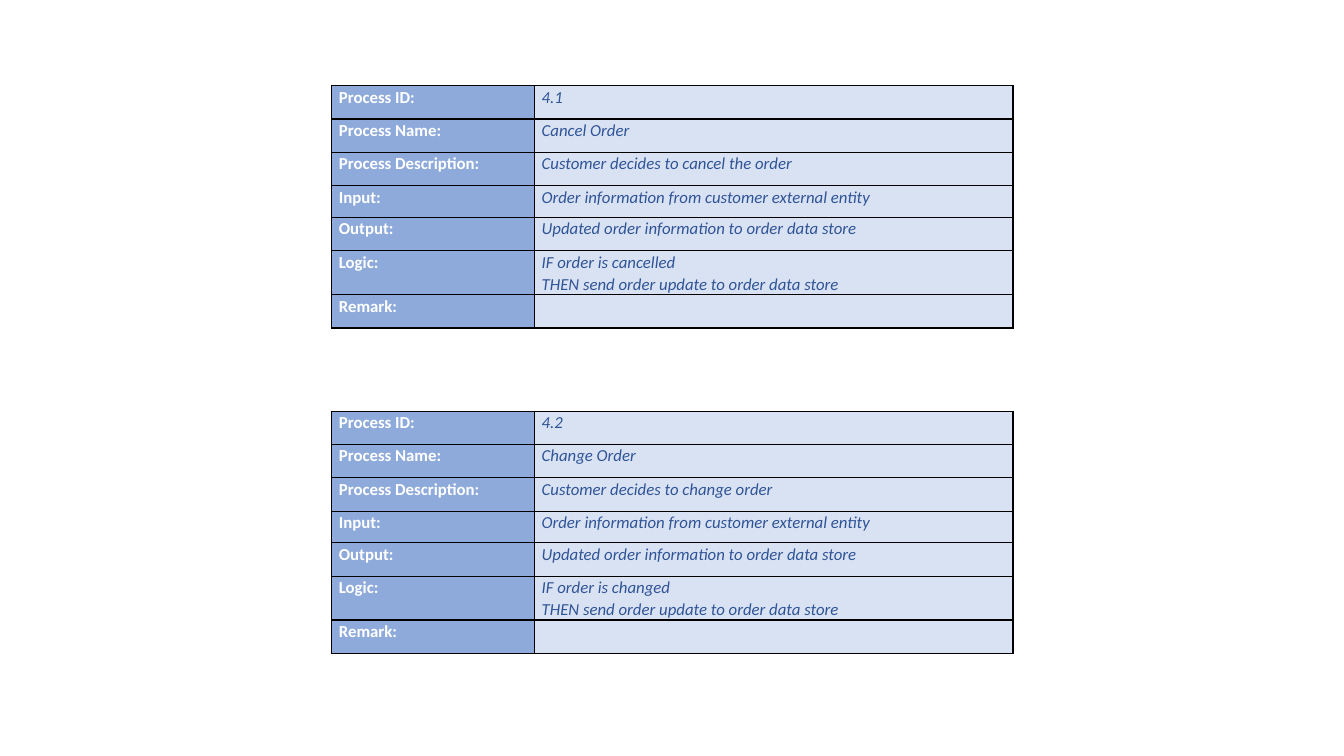
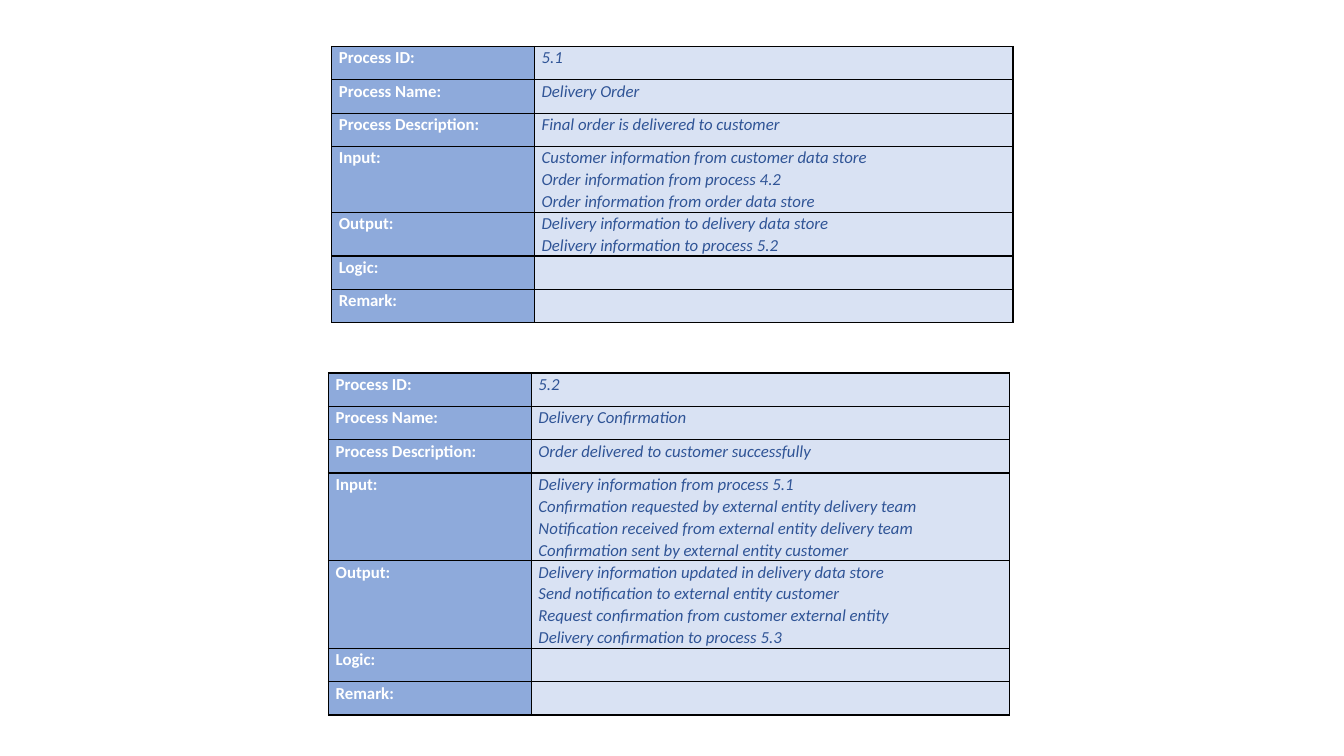
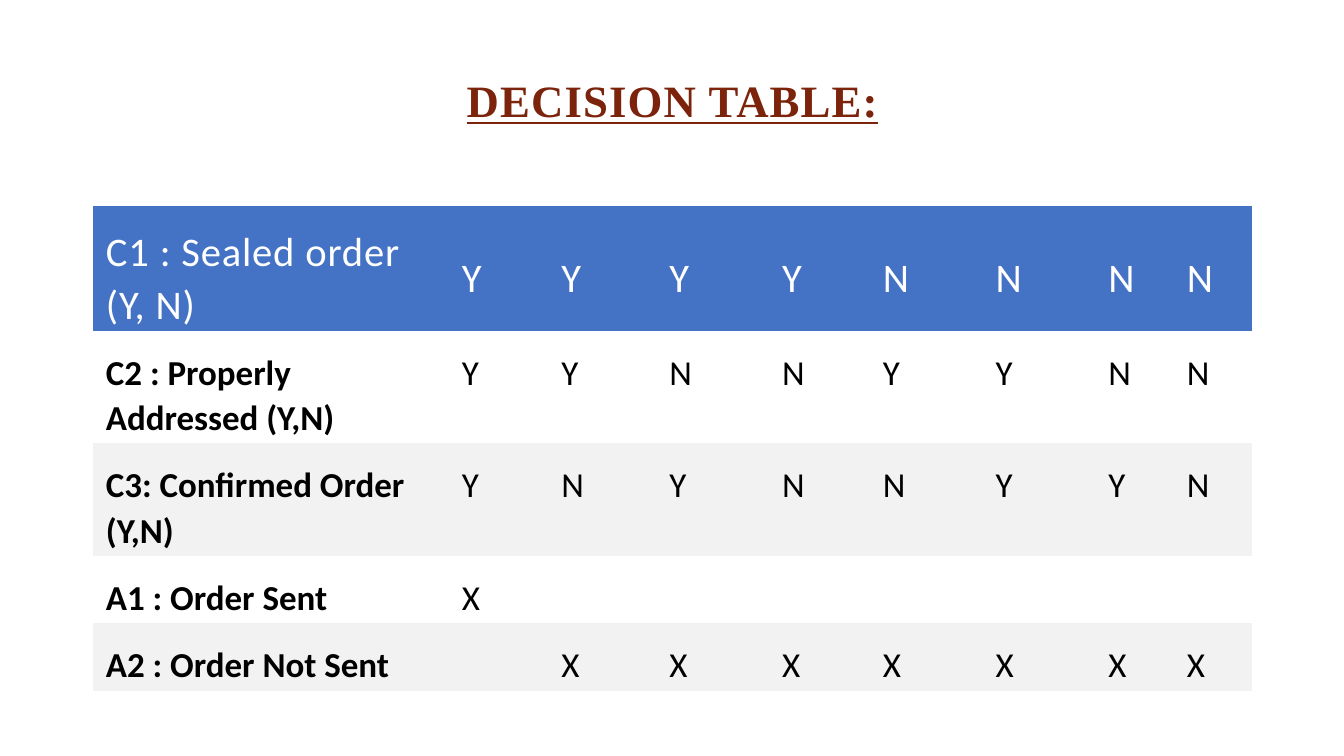
from dataclasses import dataclass
from typing import Optional

from lxml.etree import SubElement
from pptx import Presentation
from pptx.dml.color import RGBColor
from pptx.enum.text import MSO_ANCHOR, MSO_AUTO_SIZE, PP_ALIGN
from pptx.oxml.ns import qn
from pptx.util import Cm, Pt

BODY_FONT, TITLE_FONT = "Calibri", "Times New Roman"
WHITE, BLACK = "FFFFFF", "000000"
LABEL_FILL, VALUE_FILL, VALUE_TEXT = "8EAADB", "D9E2F3", "2F5496"
HEADER_FILL, BAND_FILL, TITLE_COLOR = "4472C4", "F2F2F2", "7B230B"
PLAIN_TABLE_STYLE = "{2D5ABB26-0587-4C30-8999-92F81FD0307C}"

LABELS = ("Process ID:", "Process Name:", "Process Description:", "Input:",
          "Output:", "Logic:", "Remark:")
PROCESS_COLS = (5.11, 12.06)
ROW_HEIGHT, LINE_HEIGHT = 0.84, 0.55
DECISION_COLS = (8.97, 2.51, 2.72, 2.84, 2.54, 2.84, 2.84, 1.98, 1.98)


@dataclass
class Process:
    left: float
    top: float
    values: tuple[str, ...]


@dataclass
class Rule:
    label: str
    marks: str
    height: float
    fill: Optional[str] = None


ORDER_INPUT = "Order information from customer external entity"
ORDER_OUTPUT = "Updated order information to order data store"
ORDER_UPDATE = "THEN send order update to order data store"

PROCESS_SLIDES = (
    (
        Process(8.36, 2.16, (
            "4.1", "Cancel Order", "Customer decides to cancel the order",
            ORDER_INPUT, ORDER_OUTPUT,
            f"IF order is cancelled\n{ORDER_UPDATE}", "")),
        Process(8.36, 10.36, (
            "4.2", "Change Order", "Customer decides to change order",
            ORDER_INPUT, ORDER_OUTPUT,
            f"IF order is changed\n{ORDER_UPDATE}", "")),
    ),
    (
        Process(8.36, 1.17, (
            "5.1", "Delivery Order", "Final order is delivered to customer",
            "Customer information from customer data store\n"
            "Order information from process 4.2\n"
            "Order information from order data store",
            "Delivery information to delivery data store\n"
            "Delivery information to process 5.2", "", "")),
        Process(8.28, 9.4, (
            "5.2", "Delivery Confirmation",
            "Order delivered to customer successfully",
            "Delivery information from process 5.1\n"
            "Confirmation requested by external entity delivery team\n"
            "Notification received from external entity delivery team\n"
            "Confirmation sent by external entity customer",
            "Delivery information updated in delivery data store\n"
            "Send notification to external entity customer\n"
            "Request confirmation from customer external entity\n"
            "Delivery confirmation to process 5.3", "", "")),
    ),
)

RULES = (
    Rule("C1 : Sealed order (Y, N)", "YYYYNNNN", 3.15, HEADER_FILL),
    Rule("C2 : Properly Addressed (Y,N)", "YYNNYYNN", 2.84),
    Rule("C3: Confirmed Order (Y,N)", "YNYNNYYN", 2.84, BAND_FILL),
    Rule("A1 : Order Sent", "X", 1.7),
    Rule("A2 : Order Not Sent", " XXXXXXX", 1.7, BAND_FILL),
)


def rgb(color: str) -> RGBColor:
    return RGBColor.from_string(color)


def write(tf, text: str, *, size: float, color: str, font: str = BODY_FONT,
          bold: bool = False, italic: bool = False, underline: bool = False,
          spacing: float = 0, line: float = 1.07, after: float = 0,
          align: PP_ALIGN = PP_ALIGN.LEFT) -> None:
    """Fill a text frame, one paragraph per line of text; spacing is in points."""
    for i, content in enumerate(text.split("\n")):
        p = tf.paragraphs[0] if i == 0 else tf.add_paragraph()
        p.alignment, p.line_spacing, p.space_after = align, line, Pt(after)
        r = p.add_run()
        r.text = content
        f = r.font
        f.name, f.size, f.color.rgb = font, Pt(size), rgb(color)
        f.bold, f.italic, f.underline = bold, italic, underline
        if spacing:
            r._r.get_or_add_rPr().set("spc", str(round(spacing * 100)))


def add_plain_table(slide, left: float, top: float, cols: tuple[float, ...],
                    heights: list[float]):
    table = slide.shapes.add_table(len(heights), len(cols), Cm(left), Cm(top),
                                   Cm(sum(cols)), Cm(sum(heights))).table
    table.first_row = table.horz_banding = False
    table._tbl.tblPr.find(qn("a:tableStyleId")).text = PLAIN_TABLE_STYLE
    for col, width in zip(table.columns, cols):
        col.width = Cm(width)
    for row, height in zip(table.rows, heights):
        row.height = Cm(height)
    return table


def set_margins(cell, side: float, top: float) -> None:
    cell.margin_left = cell.margin_right = Cm(side)
    cell.margin_top, cell.margin_bottom = Cm(top), Cm(0)


def fill_cell(cell, color: Optional[str]) -> None:
    if color:
        cell.fill.solid()
        cell.fill.fore_color.rgb = rgb(color)
    else:
        cell.fill.background()


def add_borders(cell, color: str = BLACK, width: float = 1) -> None:
    """Border all four sides; call before filling the cell."""
    tc_pr = cell._tc.get_or_add_tcPr()
    for side in ("lnL", "lnR", "lnT", "lnB"):
        ln = SubElement(tc_pr, qn(f"a:{side}"), w=str(Pt(width)))
        SubElement(SubElement(ln, qn("a:solidFill")), qn("a:srgbClr"), val=color)


def add_process(slide, process: Process) -> None:
    heights = [max(ROW_HEIGHT, LINE_HEIGHT * len(value.split("\n")))
               for value in process.values]
    input_row = LABELS.index("Input:")
    if "\n" not in process.values[input_row]:
        heights[input_row] = 0.8
    table = add_plain_table(slide, process.left, process.top, PROCESS_COLS, heights)
    for row, label, value in zip(table.rows, LABELS, process.values):
        for cell, color in zip(row.cells, (LABEL_FILL, VALUE_FILL)):
            set_margins(cell, 0.18, 0)
            add_borders(cell)
            fill_cell(cell, color)
        write(row.cells[0].text_frame, label, size=12, color=WHITE, bold=True)
        if value:
            write(row.cells[1].text_frame, value, size=12, color=VALUE_TEXT,
                  italic=True)


def add_decision_table(slide) -> None:
    table = add_plain_table(slide, 2.34, 5.18, DECISION_COLS,
                            [rule.height for rule in RULES])
    for row, rule in zip(table.rows, RULES):
        header = rule is RULES[0]
        texts = (rule.label, *rule.marks.ljust(len(DECISION_COLS) - 1))
        for i, (cell, text) in enumerate(zip(row.cells, texts)):
            set_margins(cell, 0.33, 0.46)
            fill_cell(cell, rule.fill)
            if header:
                cell.vertical_anchor = MSO_ANCHOR.MIDDLE
                write(cell.text_frame, text, size=29, color=WHITE, spacing=0.6)
            elif text.strip():
                write(cell.text_frame, text, size=25, color=BLACK, bold=i == 0)


def add_title(slide, text: str) -> None:
    sp = slide.shapes.title
    sp.left, sp.top, sp.width, sp.height = Cm(2.34), Cm(0.51), Cm(29.21), Cm(4.19)
    tf = sp.text_frame
    tf.word_wrap, tf.auto_size = True, MSO_AUTO_SIZE.NONE
    tf.vertical_anchor = MSO_ANCHOR.MIDDLE
    write(tf, text, size=32, color=TITLE_COLOR, font=TITLE_FONT, bold=True,
          underline=True, spacing=0.8, line=0.9, after=8, align=PP_ALIGN.CENTER)


def main() -> None:
    prs = Presentation()
    prs.slide_width, prs.slide_height = Cm(33.87), Cm(19.05)
    title_only, blank = prs.slide_layouts[5], prs.slide_layouts[6]
    for processes in PROCESS_SLIDES:
        slide = prs.slides.add_slide(blank)
        for process in processes:
            add_process(slide, process)
    slide = prs.slides.add_slide(title_only)
    add_title(slide, "DECISION TABLE:")
    add_decision_table(slide)
    prs.save("out.pptx")


if __name__ == "__main__":
    main()
